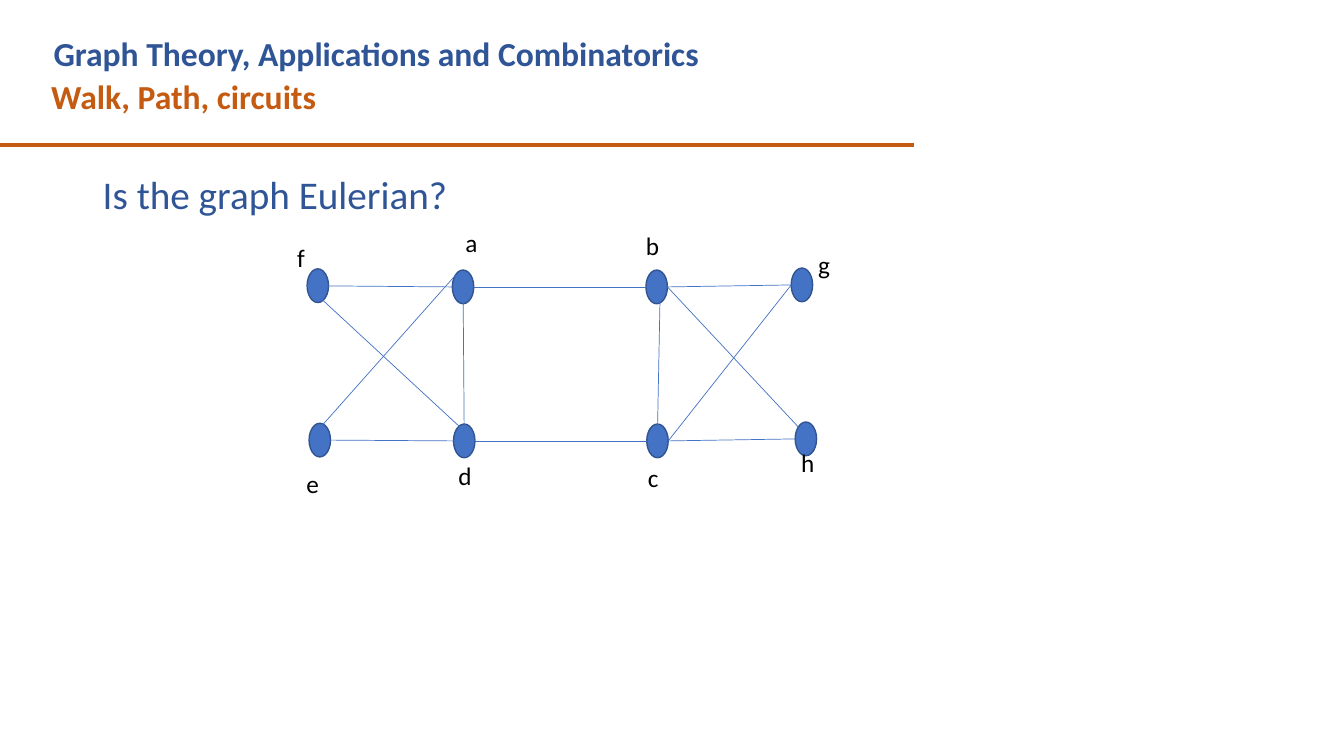
from pptx import Presentation
from pptx.dml.color import RGBColor
from pptx.enum.shapes import MSO_CONNECTOR as CONNECTOR, MSO_SHAPE as SHAPE
from pptx.oxml.ns import qn
from pptx.util import Cm, Pt
from lxml.etree import SubElement

ORANGE, NAVY, BLUE, OUTLINE, BLACK = "C55A11", "2F5597", "4472C4", "325491", "000000"
NODE_W, NODE_H = 0.54, 0.85
LABEL_W, LABEL_H = 1.12, 1.02

# Vertex: centre and label corner, in cm within the graph box
VERTICES = {
    "f": ((0.77, 1.59), (0, 0.36)),
    "g": ((12.97, 1.57), (13.13, 0.56)),
    "b": ((9.31, 1.62), (8.79, 0.08)),
    "a": ((4.43, 1.62), (4.24, 0)),
    "e": ((0.82, 5.48), (0.23, 6.07)),
    "h": ((13.07, 5.45), (12.7, 5.54)),
    "c": ((9.33, 5.5), (8.84, 5.92)),
    "d": ((4.46, 5.5), (4.06, 5.87)),
}

# Points on a vertex, as shares of its half width and half height
PORTS = {
    "centre": (0, 0),
    "inner right": (0.33, 0),
    "left": (-1, 0),
    "right": (1, 0),
    "upper": (0, -0.7),
    "upper left": (-0.7, -0.7),
}
EDGES = [
    ("f", "left", "a", "left"),
    ("f", "left", "d", "right"),
    ("e", "right", "d", "left"),
    ("a", "centre", "d", "centre"),
    ("a", "right", "b", "left"),
    ("b", "inner right", "c", "upper"),
    ("d", "right", "c", "left"),
    ("b", "right", "g", "left"),
    ("g", "left", "c", "right"),
    ("b", "right", "h", "upper left"),
    ("c", "right", "h", "left"),
    ("e", "left", "a", "upper left"),
]


def color(hex_string):
    return RGBColor.from_string(hex_string)


def add_text(slide, box, words, size, hex_string, bold=False):
    frame = slide.shapes.add_textbox(*map(Cm, box)).text_frame
    frame.word_wrap = True
    run = frame.paragraphs[0].add_run()
    run.text = words
    run.font.name = "Calibri"
    run.font.size = Pt(size)
    run.font.bold = bold
    run.font.color.rgb = color(hex_string)


def add_line(slide, start, end, hex_string, width):
    line = slide.shapes.add_connector(CONNECTOR.STRAIGHT, *map(Cm, (*start, *end)))
    line.line.color.rgb = color(hex_string)
    line.line.width = Pt(width)
    SubElement(line._element.spPr, qn("a:effectLst"))


def add_header(slide, left, top, width):
    add_text(slide, (left + 1.04, top + 1.09, 22.22, 1.27),
             "Walk, Path, circuits", 24, ORANGE, bold=True)
    add_line(slide, (left, top + 2.95), (left + width, top + 2.95), ORANGE, 3)
    add_text(slide, (left + 1.1, top, 20.83, 1.27),
             "Graph Theory, Applications and Combinatorics", 24, NAVY, bold=True)


def add_question(slide, box):
    add_text(slide, box, "Is the graph Eulerian?", 28, NAVY)


def add_graph(slide, left, top):
    def port_position(vertex, port):
        (x, y), _ = VERTICES[vertex]
        dx, dy = PORTS[port]
        return left + x + dx * NODE_W / 2, top + y + dy * NODE_H / 2

    # Vertices
    for (x, y), _ in VERTICES.values():
        vertex = slide.shapes.add_shape(
            SHAPE.OVAL, Cm(left + x - NODE_W / 2), Cm(top + y - NODE_H / 2),
            Cm(NODE_W), Cm(NODE_H))
        vertex.shadow.inherit = False
        vertex.fill.solid()
        vertex.fill.fore_color.rgb = color(BLUE)
        vertex.line.color.rgb = color(OUTLINE)
        vertex.line.width = Pt(1)

    # Edges
    for start, start_port, end, end_port in EDGES:
        add_line(slide, port_position(start, start_port),
                 port_position(end, end_port), BLUE, 0.5)

    # Labels
    for letter, (_, (x, y)) in sorted(VERTICES.items()):
        add_text(slide, (left + x, top + y, LABEL_W, LABEL_H), letter, 18, BLACK)


def main():
    deck = Presentation()
    deck.slide_width, deck.slide_height = Cm(33.87), Cm(19.05)
    slide = deck.slides.add_slide(deck.slide_layouts[6])
    add_header(slide, 0, 0.71, 23.04)
    add_question(slide, (2.34, 4.17, 16.56, 1.45))
    add_graph(slide, 7.24, 5.61)
    deck.save("out.pptx")


if __name__ == "__main__":
    main()
